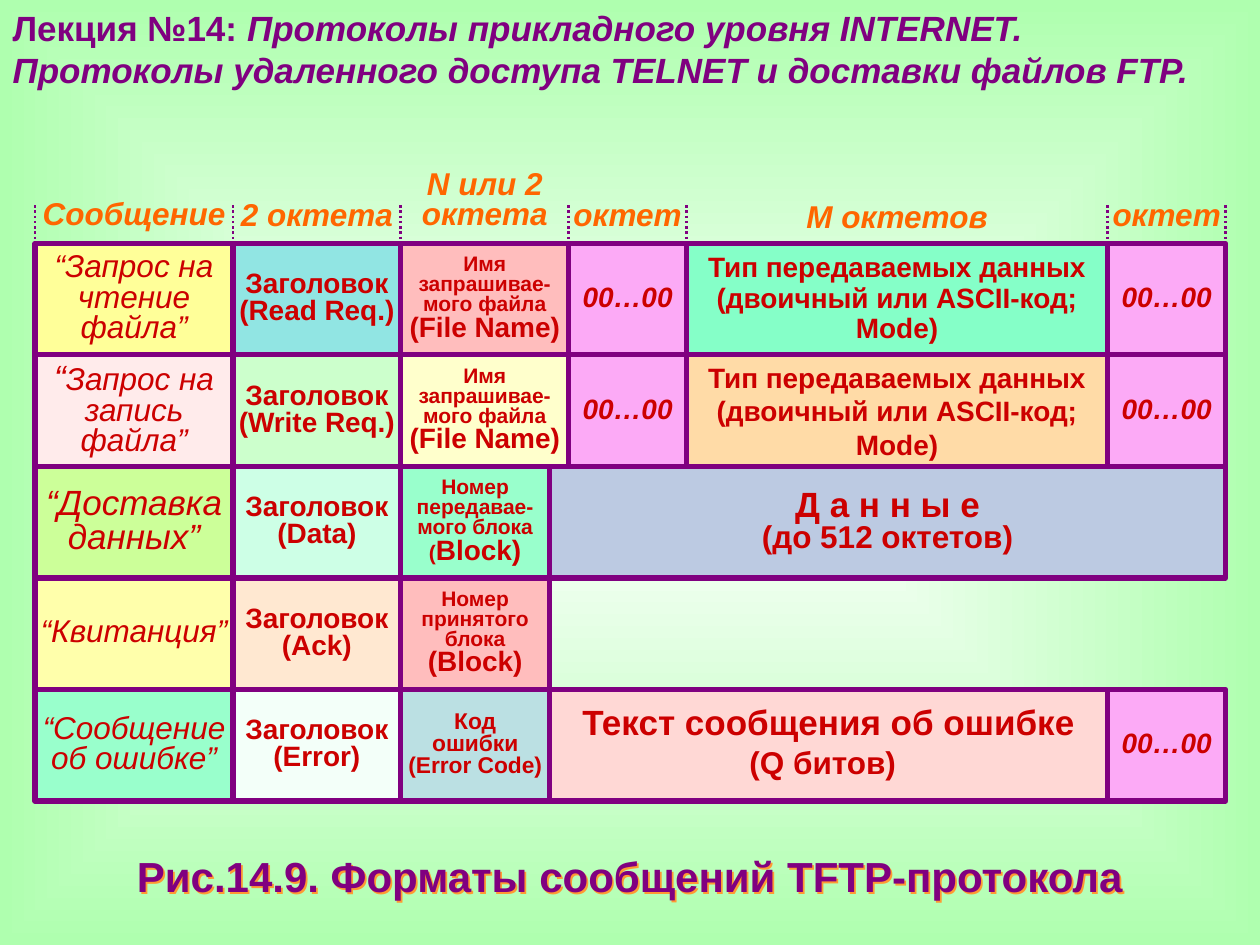
from lxml import etree
from pptx import Presentation
from pptx.dml.color import RGBColor
from pptx.enum.dml import MSO_LINE
from pptx.enum.shapes import MSO_CONNECTOR, MSO_SHAPE
from pptx.enum.text import MSO_ANCHOR as ANCHOR, MSO_AUTO_SIZE, PP_ALIGN as ALIGN
from pptx.oxml import parse_xml
from pptx.oxml.ns import nsdecls, qn
from pptx.util import Pt

PURPLE, RED, ORANGE, PINK = "800080", "CC0000", "FF6600", "FCAAF6"


def rgb(value):
    return RGBColor.from_string(value)


def write(shape, lines, size=18, color=RED, bold=True, italic=False, spacing=0.8,
          align=ALIGN.CENTER, anchor=ANCHOR.MIDDLE, margins=(0, 0)):
    frame = shape.text_frame
    frame.word_wrap = True
    frame.auto_size = MSO_AUTO_SIZE.NONE
    frame.vertical_anchor = anchor
    frame.margin_left = frame.margin_right = Pt(margins[0])
    frame.margin_top = frame.margin_bottom = Pt(margins[1])
    for index, line in enumerate(lines):
        paragraph = frame.paragraphs[0] if index == 0 else frame.add_paragraph()
        paragraph.alignment = align
        paragraph.line_spacing = spacing
        for text, run_size in [(line, size)] if isinstance(line, str) else line:
            run = paragraph.add_run()
            run.text = text
            run.font.name = "Arial"
            run.font.size = Pt(run_size)
            run.font.bold = bold
            run.font.italic = italic
            run.font.color.rgb = rgb(color)


presentation = Presentation()
presentation.slide_width, presentation.slide_height = Pt(720), Pt(540)
slide = presentation.slides.add_slide(presentation.slide_layouts[5])
shapes = slide.shapes

background = slide.background.fill
background.gradient()
for stop, color in zip(background.gradient_stops, ("FFFFFF", "AFFFAF")):
    stop.color.rgb = rgb(color)
gradient = next(slide.element.iter(qn("a:gradFill")))
gradient.remove(gradient.find(qn("a:lin")))
gradient.append(parse_xml(
    f'<a:path {nsdecls("a")} path="shape">'
    '<a:fillToRect l="50000" t="50000" r="50000" b="50000"/></a:path>'))

title = shapes.title
title.left, title.top, title.width, title.height = Pt(0), Pt(0), Pt(720), Pt(55.4)
write(title, [[("Лекция №14: ", 20), ("Протоколы прикладного уровня INTERNET.", 20)],
              "Протоколы удаленного доступа TELNET и доставки файлов FTP."],
      size=20, color=PURPLE, italic=True, spacing=1, align=ALIGN.LEFT,
      anchor=ANCHOR.TOP, margins=(7.2, 3.6))
title.text_frame.paragraphs[0].runs[0].font.italic = False

caption = shapes.add_textbox(Pt(0), Pt(482.4), Pt(720), Pt(36))
write(caption, ["Рис.14.9. Форматы сообщений TFTP-протокола"], size=24, color=PURPLE,
      spacing=1, anchor=ANCHOR.TOP, margins=(7.2, 3.6))
caption.element.spPr.append(parse_xml(
    f'<a:effectLst {nsdecls("a")}><a:outerShdw dist="17961" dir="2700000">'
    '<a:srgbClr val="FF9933"/></a:outerShdw></a:effectLst>'))

MESSAGE, HEADER, FIELD, BODY, ZEROS, MODE, END, RIGHT = (
    20, 133.2, 229, 314, 325, 392.2, 633, 700.4)
TABLE_TOP, ROW_HEIGHT = 139, 63.75

for x in (MESSAGE, HEADER, FIELD, ZEROS, MODE, END, RIGHT):
    divider = shapes.add_connector(MSO_CONNECTOR.STRAIGHT, Pt(x), Pt(117.2), Pt(x), Pt(160))
    divider.line.color.rgb = rgb(PURPLE)
    divider.line.width = Pt(1.5)
    divider.line.dash_style = MSO_LINE.ROUND_DOT
    etree.SubElement(divider.element.spPr, qn("a:effectLst"))

column_labels = [
    (MESSAGE, HEADER, 106.6, 30, ["Сообщение"]),
    (HEADER, FIELD, 107.3, 30, ["2 октета"]),
    (FIELD, ZEROS, 96.5, 37.4, ["N или 2", "октета"]),
    (ZEROS, MODE, 107.3, 30, ["октет"]),
    (MODE, END, 110.2, 26.6, ["M октетов"]),
    (END, RIGHT, 107.3, 30, ["октет"]),
]
for left, right, top, height, lines in column_labels:
    label = shapes.add_textbox(Pt(left), Pt(top), Pt(right - left), Pt(height))
    write(label, lines, color=ORANGE, italic=True, spacing=0.8 if len(lines) > 1 else 1)

name = {"bold": False, "italic": True}
code = {"size": 16}
small = {"size": 12}
zeros = {"size": 16, "italic": True, "spacing": 0.85}
mode_lines = ["Тип передаваемых данных", "(двоичный или ASCII-код; Mode)"]
file_name = [("(File Name)", 16)]

rows = [
    [(MESSAGE, HEADER, "FFFF99", ["“Запрос на", "чтение", "файла”"], name),
     (HEADER, FIELD, "91E5E3", ["Заголовок", "(Read Req.)"], code),
     (FIELD, ZEROS, "FFBDBD", ["Имя", "запрашивае-мого файла", file_name], small),
     (ZEROS, MODE, PINK, ["00…00"], zeros),
     (MODE, END, "85FFC8", mode_lines, {"size": 16, "spacing": 0.9}),
     (END, RIGHT, PINK, ["00…00"], zeros)],
    [(MESSAGE, HEADER, "FFEBEB", [[("“", 20), ("Запрос на", 18)], "запись", "файла”"], name),
     (HEADER, FIELD, "CCFFCC", ["Заголовок", "(Write Req.)"], code),
     (FIELD, ZEROS, "FFFFCC", ["Имя запрашивае-мого файла", file_name], small),
     (ZEROS, MODE, PINK, ["00…00"], zeros),
     (MODE, END, "FFDBA7", mode_lines, {"size": 16, "spacing": 1}),
     (END, RIGHT, PINK, ["00…00"], zeros)],
    [(MESSAGE, HEADER, "CCFF99", ["“Доставка", "данных”"], {**name, "size": 20}),
     (HEADER, FIELD, "CDFFE6", ["Заголовок", "(Data)"], code),
     (FIELD, BODY, "99FFCC",
      ["Номер передавае-мого блока", [("(", 12), ("Block)", 16)]], small),
     (BODY, RIGHT, "BCCAE2", [[("Д а н н ы е", 20)], "(до 512 октетов)"], {})],
    [(MESSAGE, HEADER, "FFFFAB", ["“Квитанция”"], name),
     (HEADER, FIELD, "FFE8D1", ["Заголовок", "(Ack)"], code),
     (FIELD, BODY, "FFBDBD", ["Номер принятого", "блока", [("(Block)", 16)]], small)],
    [(MESSAGE, HEADER, "99FFCC", ["“Сообщение об ошибке”"], name),
     (HEADER, FIELD, "F3FFF9", ["Заголовок", "(Error)"], code),
     (FIELD, BODY, "BBE0E3", ["Код", "ошибки", "(Error Code)"], {"size": 13}),
     (BODY, END, "FFD8D5",
      [[("Текст сообщения об ошибке", 20)], [("(Q битов)", 18), (" ", 24)]], {}),
     (END, RIGHT, PINK, ["00…00"], zeros)],
]
for row_index, row in enumerate(rows):
    top = TABLE_TOP + row_index * ROW_HEIGHT
    for left, right, fill, lines, text_format in row:
        cell = shapes.add_shape(MSO_SHAPE.RECTANGLE, Pt(left), Pt(top),
                                Pt(right - left), Pt(ROW_HEIGHT))
        cell.shadow.inherit = False
        cell.fill.solid()
        cell.fill.fore_color.rgb = rgb(fill)
        cell.line.color.rgb = rgb(PURPLE)
        cell.line.width = Pt(3)
        write(cell, lines, **text_format)

presentation.save("out.pptx")
